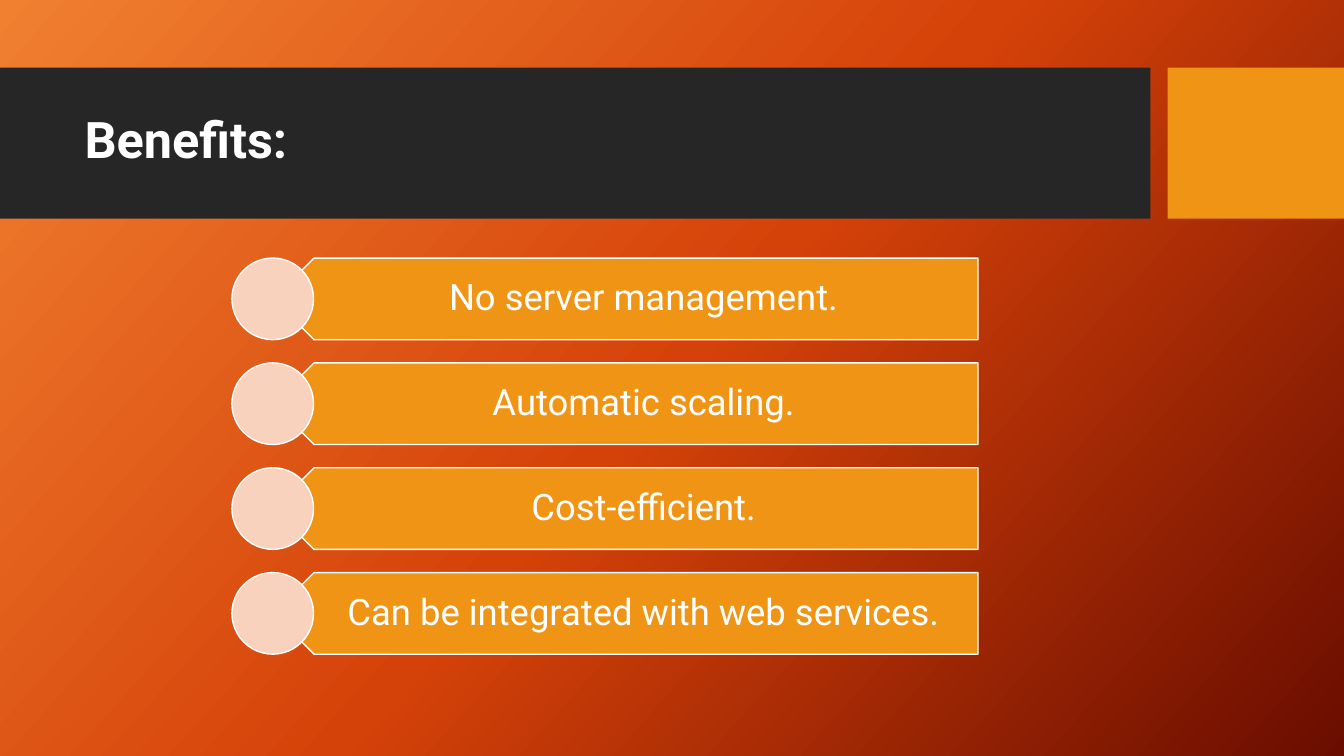
from copy import deepcopy
from dataclasses import dataclass

from pptx import Presentation
from pptx.dml.color import RGBColor
from pptx.enum.shapes import MSO_SHAPE
from pptx.enum.text import MSO_ANCHOR, PP_ALIGN
from pptx.oxml.ns import qn
from pptx.util import Inches, Pt


@dataclass(frozen=True)
class Theme:
    font: str = "Roboto"
    white: str = "FFFFFF"
    dark: str = "262626"
    accent: str = "F09415"
    pale: str = "F8D2BD"
    gradient: tuple = ((0, "F18031"), (0.5, "D54209"), (1, "6A0D00"))
    gradient_angle: int = 42
    title_size: int = 36
    item_size: int = 26


class SlideBuilder:
    def __init__(self, slide, theme):
        self.s = slide
        self.theme = theme

    def background(self):
        fill = self.s.background.fill
        fill.gradient()
        # The angle property runs counter-clockwise.
        fill.gradient_angle = 360 - self.theme.gradient_angle
        stops = self.s.element.find(".//" + qn("a:gsLst"))
        stops.append(deepcopy(stops[-1]))
        for stop, (position, color) in zip(fill.gradient_stops, self.theme.gradient):
            stop.position = position
            stop.color.rgb = RGBColor.from_string(color)

    def shape(self, kind, box, fill, line=None, rotation=0):
        sp = self.s.shapes.add_shape(kind, *map(Inches, box))
        sp.shadow.inherit = False
        sp.rotation = rotation
        sp.fill.solid()
        sp.fill.fore_color.rgb = RGBColor.from_string(fill)
        if line:
            sp.line.color.rgb = RGBColor.from_string(line)
            sp.line.width = Pt(1)
        else:
            sp.line.fill.background()
        return sp

    def text(self, box, text, size, bold=False, align=PP_ALIGN.LEFT,
             insets=(0.1, 0.05, 0.1, 0.05)):
        """Add one vertically centred line; insets are left, top, right, bottom."""
        tf = self.s.shapes.add_textbox(*map(Inches, box)).text_frame
        left, top, right, bottom = map(Inches, insets)
        frame_format = {
            "word_wrap": True, "vertical_anchor": MSO_ANCHOR.MIDDLE,
            "margin_left": left, "margin_top": top,
            "margin_right": right, "margin_bottom": bottom,
        }
        for name, value in frame_format.items():
            setattr(tf, name, value)
        p = tf.paragraphs[0]
        p.alignment = align
        p.line_spacing = 0.9
        r = p.add_run()
        r.text = text
        run_format = {"name": self.theme.font, "size": Pt(size), "bold": bold}
        for name, value in run_format.items():
            setattr(r.font, name, value)
        r.font.color.rgb = RGBColor.from_string(self.theme.white)

    def benefit(self, top, text):
        """Add a left-pointing bar with its label and a circle over the tip."""
        t = self.theme
        height = 0.81
        self.shape(MSO_SHAPE.PENTAGON, (2.71, top, 6.99, height),
                   t.accent, t.white, rotation=180)
        self.text((2.91, top, 6.79, height), text, t.item_size,
                  align=PP_ALIGN.CENTER, insets=(0.36, 0.11, 0.2, 0.11))
        self.shape(MSO_SHAPE.OVAL, (2.3, top, height, height), t.pale, t.white)


def main():
    prs = Presentation()
    prs.slide_width, prs.slide_height = Inches(13.33), Inches(7.5)
    theme = Theme()
    slide = SlideBuilder(prs.slides.add_slide(prs.slide_layouts[6]), theme)

    slide.background()
    slide.shape(MSO_SHAPE.RECTANGLE, (0, 0.67, 11.41, 1.5), theme.dark)
    slide.shape(MSO_SHAPE.RECTANGLE, (11.58, 0.67, 1.75, 1.5), theme.accent)
    slide.text((0.74, 0.82, 10.51, 1.18), "Benefits:", theme.title_size, bold=True)

    benefits = (
        "No server management.",
        "Automatic scaling.",
        "Cost-efficient.",
        "Can be integrated with web services.",
    )
    for i, benefit in enumerate(benefits):
        slide.benefit(2.56 + i * 1.04, benefit)

    prs.save("out.pptx")


if __name__ == "__main__":
    main()
